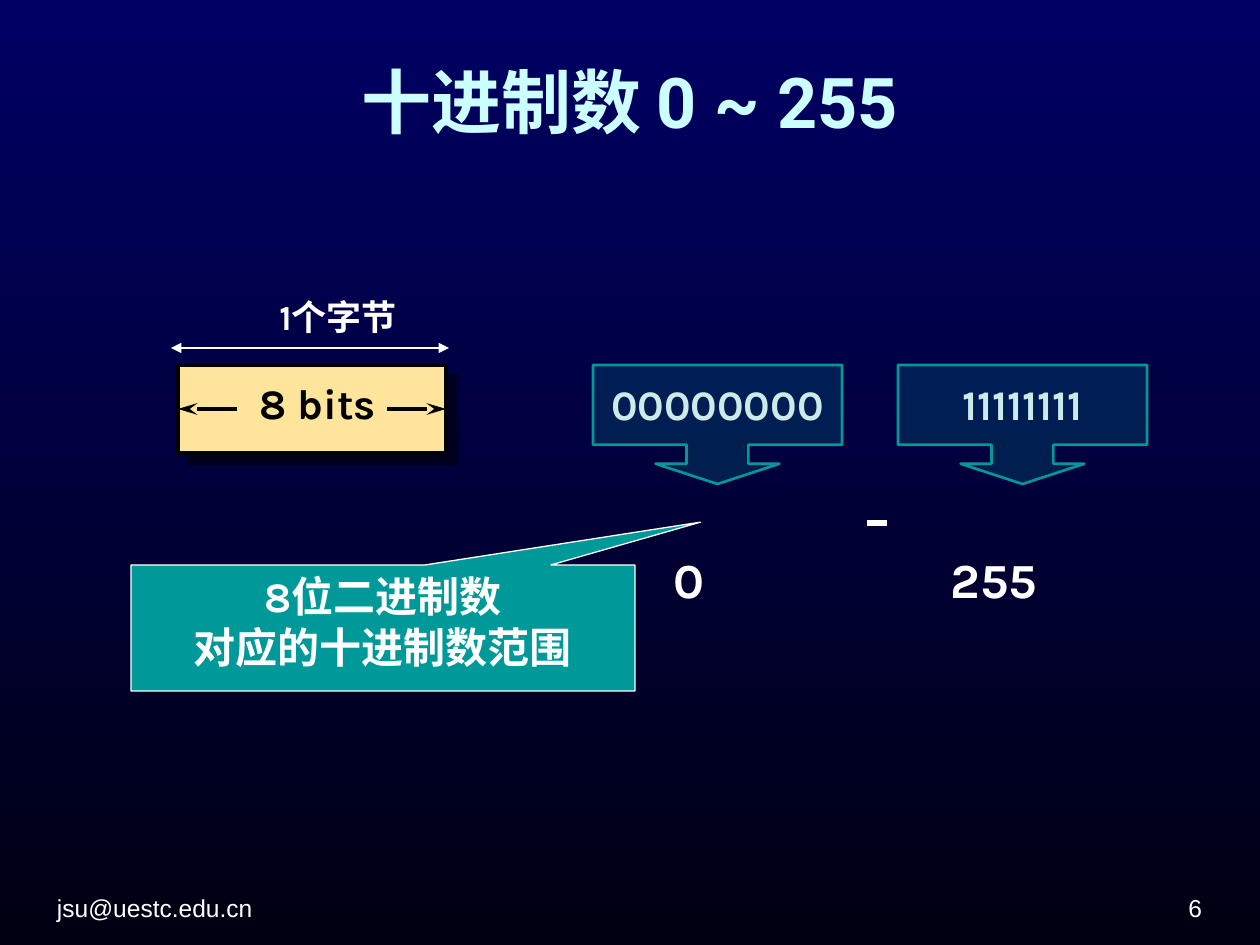
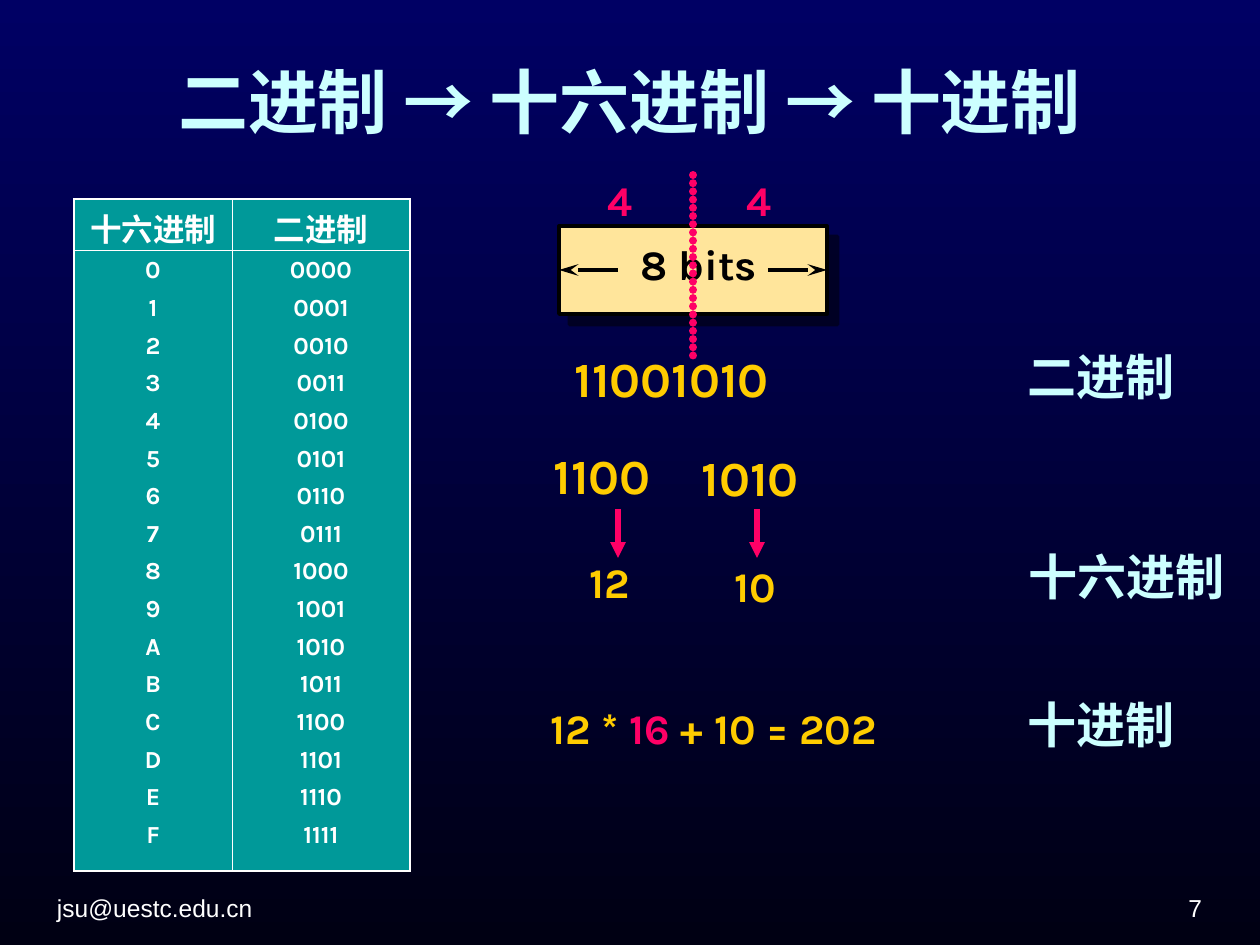
from dataclasses import dataclass

from lxml.etree import SubElement
from pptx import Presentation
from pptx.dml.color import RGBColor
from pptx.enum.shapes import MSO_CONNECTOR, MSO_SHAPE
from pptx.enum.text import MSO_ANCHOR, MSO_AUTO_SIZE, PP_ALIGN
from pptx.oxml.ns import qn
from pptx.util import Emu, Pt

# ---- Content ----
FOOTER = "jsu@uestc.edu.cn"
RANGE_TITLE = [("十进制数 0 ~ 255",)]
CONVERT_TITLE = [("二进制 ",), ("→", "Arial"), (" 十六进制 ",), ("→", "Arial"), (" 十进制",)]
RANGE_NOTE = ["8位二进制数", "对应的十进制数范围"]
# bits, callout left, decimal value, centre of the value
LIMITS = [("00000000", 593, "0", 689), ("11111111", 898, "255", 994)]
HEADERS = ["十六进制", "二进制"]
DIGITS = [[f"{n:X}" for n in range(16)], [f"{n:04b}" for n in range(16)]]
# text, left, top, width, height, size
STEPS = [
    ("11001010", 562, 343, 248, 72, 28),
    ("1100", 541, 439, 137, 72, 28),
    ("1010", 689, 441, 137, 72, 28),
    ("12", 577, 551, 73, 63, 24),
    ("10", 722, 555, 73, 63, 24),
]
# text, left, top, width
BASES = [("二进制", 1015, 340, 190), ("十六进制", 1016, 540, 238), ("十进制", 1015, 689, 190)]
NIBBLE_CENTRES = [620, 759]


@dataclass(frozen=True)
class Theme:
    sky: str = "000064"
    night: str = "000013"
    title: str = "CCFFFF"
    white: str = "FFFFFF"
    black: str = "000000"
    teal: str = "009999"
    sand: str = "FFE59B"
    pink: str = "FF0066"
    gold: str = "FFCC00"
    body_font: str = "Karla"
    title_font: str = "Roboto"
    footer_font: str = "Arial"
    cjk_font: str = "Noto Sans CJK SC"
    title_size: int = 40
    big: int = 28
    normal: int = 24
    label: int = 20
    header: int = 18
    small: int = 14


T = Theme()
SNUG = (2, 4)
ROOMY = (13, 6)


def px(n):
    return Emu(round(n * 914400 / 126))


def rgb(code):
    return RGBColor.from_string(code)


# ---- Text ----
def write(tf, lines, size, color=T.white, font=T.body_font, bold=True,
          align=PP_ALIGN.LEFT, before=0, leading=None):
    """Each line is a string or a list of (text, font, color) runs."""
    for i, line in enumerate(lines):
        p = tf.add_paragraph() if i else tf.paragraphs[0]
        p.alignment = align
        if leading:
            p.line_spacing = Pt(leading)
        if i and before:
            p.space_before = Pt(before)
        p.font.size, p.font.bold = Pt(size), bold
        p.font.color.rgb = rgb(color)
        p.font.name = font
        SubElement(p._p.pPr.find(qn("a:defRPr")), qn("a:ea"), typeface=T.cjk_font)
        for text, *special in [(line,)] if isinstance(line, str) else line:
            r = p.add_run()
            r.text = text
            if len(special) > 1:
                r.font.color.rgb = rgb(special[1])
            if special and special[0]:
                r.font.name = special[0]


def set_margins(tf, margins):
    tf.margin_left = tf.margin_right = px(margins[0])
    tf.margin_top = tf.margin_bottom = px(margins[1])


def add_text(s, line, x, y, w, h, size, margins=ROOMY, anchor=MSO_ANCHOR.TOP, **style):
    tf = s.shapes.add_textbox(px(x), px(y), px(w), px(h)).text_frame
    tf.word_wrap = True
    tf.vertical_anchor = anchor
    set_margins(tf, margins)
    write(tf, [line], size, **style)


def add_bits(s, text, x, y, w, color, align=PP_ALIGN.CENTER):
    add_text(s, text, x, y, w, 35, T.normal, SNUG, color=color, align=align, leading=21)


# ---- Shapes and lines ----
def add_box(s, kind, x, y, w, h, fill, line, width, adjust=()):
    sp = s.shapes.add_shape(kind, px(x), px(y), px(w), px(h))
    sp.shadow.inherit = False
    sp.fill.solid()
    sp.fill.fore_color.rgb = rgb(fill)
    sp.line.color.rgb = rgb(line)
    sp.line.width = Pt(width)
    for i, value in enumerate(adjust):
        sp.adjustments[i] = value
    return sp


def add_line(s, x1, y1, x2, y2, color, width, head=None, tail=None, length="med"):
    c = s.shapes.add_connector(MSO_CONNECTOR.STRAIGHT, px(x1), px(y1), px(x2), px(y2))
    c.line.color.rgb = rgb(color)
    c.line.width = Pt(width)
    for tag, kind in (("a:headEnd", head), ("a:tailEnd", tail)):
        if kind:
            SubElement(c.line._ln, qn(tag), type=kind, w="med", len=length)
    SubElement(c._element.spPr, qn("a:effectLst"))
    return c


def add_byte(s, x, y):
    """Shadowed box for one byte, with arrows reaching out to both sides."""
    w, h, reach = 268, 88, 59
    box = add_box(s, MSO_SHAPE.RECTANGLE, x, y, w, h, T.sand, T.black, 2.25)
    shadow = SubElement(box._element.spPr.find(qn("a:effectLst")), qn("a:outerShdw"),
                        blurRad="0", dist=str(Pt(8.5)), dir="2700000",
                        algn="ctr", rotWithShape="0")
    tint = SubElement(shadow, qn("a:srgbClr"), val=T.black)
    SubElement(tint, qn("a:alpha"), val="50000")
    add_bits(s, "8 bits", x + 80, y + 22, 128, T.black, PP_ALIGN.LEFT)
    mid = y + h // 2
    for start, end, side in ((x + reach, x, 1), (x + w - reach, x + w, 3)):
        arrow = add_line(s, start, mid, end, mid, T.black, 2.25, tail="stealth", length="lg")
        arrow.end_connect(box, side)


# ---- Shared slide frame ----
def set_background(master):
    fill = master.background.fill
    fill.gradient()
    fill.gradient_angle = 270
    for stop, color, place in zip(fill.gradient_stops, (T.sky, T.night), (0, 1)):
        stop.color.rgb = rgb(color)
        stop.position = place


def new_slide(prs, title, number):
    s = prs.slides.add_slide(prs.slide_layouts[5])
    sp = s.shapes.title
    sp.left, sp.top, sp.width, sp.height = px(44), px(16), px(1171), px(169)
    tf = sp.text_frame
    tf.word_wrap = True
    tf.auto_size = MSO_AUTO_SIZE.NONE
    tf.vertical_anchor = MSO_ANCHOR.MIDDLE
    write(tf, [title], T.title_size, T.title, T.title_font, align=PP_ALIGN.CENTER)
    for text, x, align in ((FOOTER, 44, PP_ALIGN.LEFT), (str(number), 921, PP_ALIGN.RIGHT)):
        add_text(s, text, x, 869, 294, 59, T.small, anchor=MSO_ANCHOR.BOTTOM,
                 font=T.footer_font, bold=False, align=align)
    return s


# ---- Slide: range of one byte ----
def range_slide(prs):
    s = new_slide(prs, RANGE_TITLE, 6)
    add_byte(s, 178, 365)
    note = add_box(s, MSO_SHAPE.RECTANGULAR_CALLOUT, 131, 565, 504, 126,
                   T.teal, T.white, 0.75, (0.63, -0.84))
    tf = note.text_frame
    tf.word_wrap = True
    tf.vertical_anchor = MSO_ANCHOR.TOP
    set_margins(tf, ROOMY)
    write(tf, RANGE_NOTE, T.normal, align=PP_ALIGN.CENTER)
    add_line(s, 171, 348, 449, 348, T.white, 1.5, "triangle", "triangle")
    add_text(s, "1个字节", 212, 289, 198, 55, T.label, align=PP_ALIGN.RIGHT)

    callout_w, value_w = 249, 172
    for bits, x, value, centre in LIMITS:
        add_bits(s, bits, x, 388, callout_w, T.white)
        arrow = add_box(s, MSO_SHAPE.DOWN_ARROW_CALLOUT, x, 365, callout_w, 119,
                        T.teal, T.teal, 1.5, (0.52, 0.52, 0.17, 0.67))
        tint = arrow._element.spPr.find(qn("a:solidFill")).find(qn("a:srgbClr"))
        SubElement(tint, qn("a:alpha"), val="20000")
        add_text(s, value, centre - value_w // 2, 543, value_w, 72, T.big,
                 align=PP_ALIGN.CENTER)
    add_line(s, 867, 523, 887, 523, T.white, 3)


# ---- Slide: base conversion ----
def set_borders(cell, row, col):
    outer = {"L": col == 0, "R": col == 1, "T": row == 0, "B": row == 1}
    for side, is_outer in outer.items():
        ln = SubElement(cell._tc.get_or_add_tcPr(), qn("a:ln" + side),
                        w=str(Pt(1.08 if is_outer else 0.45)))
        SubElement(SubElement(ln, qn("a:solidFill")), qn("a:srgbClr"), val=T.white)


def add_digit_table(s):
    table = s.shapes.add_table(2, 2, px(74), px(199), px(336), px(672)).table
    for column, w in zip(table.columns, (158, 178)):
        column.width = px(w)
    for row, h in zip(table.rows, (51, 621)):
        row.height = px(h)
    for col, (header, digits) in enumerate(zip(HEADERS, DIGITS)):
        for row, (lines, size) in enumerate((([header], T.header), (digits, T.small))):
            cell = table.cell(row, col)
            set_borders(cell, row, col)
            cell.fill.solid()
            cell.fill.fore_color.rgb = rgb(T.teal)
            write(cell.text_frame, lines, size, align=PP_ALIGN.CENTER, before=5.2)


def convert_slide(prs):
    s = new_slide(prs, CONVERT_TITLE, 7)
    add_digit_table(s)
    add_byte(s, 559, 226)

    # Dotted split between the two nibbles
    split = add_line(s, 693, 175, 693, 363, T.pink, 4.5)
    split.line._ln.set("cap", "rnd")
    dash = SubElement(split.line._ln, qn("a:custDash"))
    SubElement(dash, qn("a:ds"), d="100000", sp="4000")
    nibble_w = 92
    for centre in NIBBLE_CENTRES:
        add_bits(s, "4", centre - nibble_w // 2, 184, nibble_w, T.pink)
        add_line(s, centre - 2, 509, centre - 2, 558, T.pink, 3, tail="triangle")

    # Working steps and the base of each
    for text, x, y, w, h, size in STEPS:
        add_text(s, text, x, y, w, h, size, color=T.gold)
    total = [("12 * ",), ("16", None, T.pink), (" + 10 = 202",)]
    add_text(s, total, 538, 697, 407, 63, T.normal, color=T.gold)
    for text, x, y, w in BASES:
        add_text(s, text, x, y, w, 72, T.big, color=T.title, font=T.cjk_font)


def main():
    prs = Presentation()
    prs.slide_width, prs.slide_height = px(1260), px(945)
    set_background(prs.slide_master)
    range_slide(prs)
    convert_slide(prs)
    prs.save("out.pptx")


if __name__ == "__main__":
    main()
